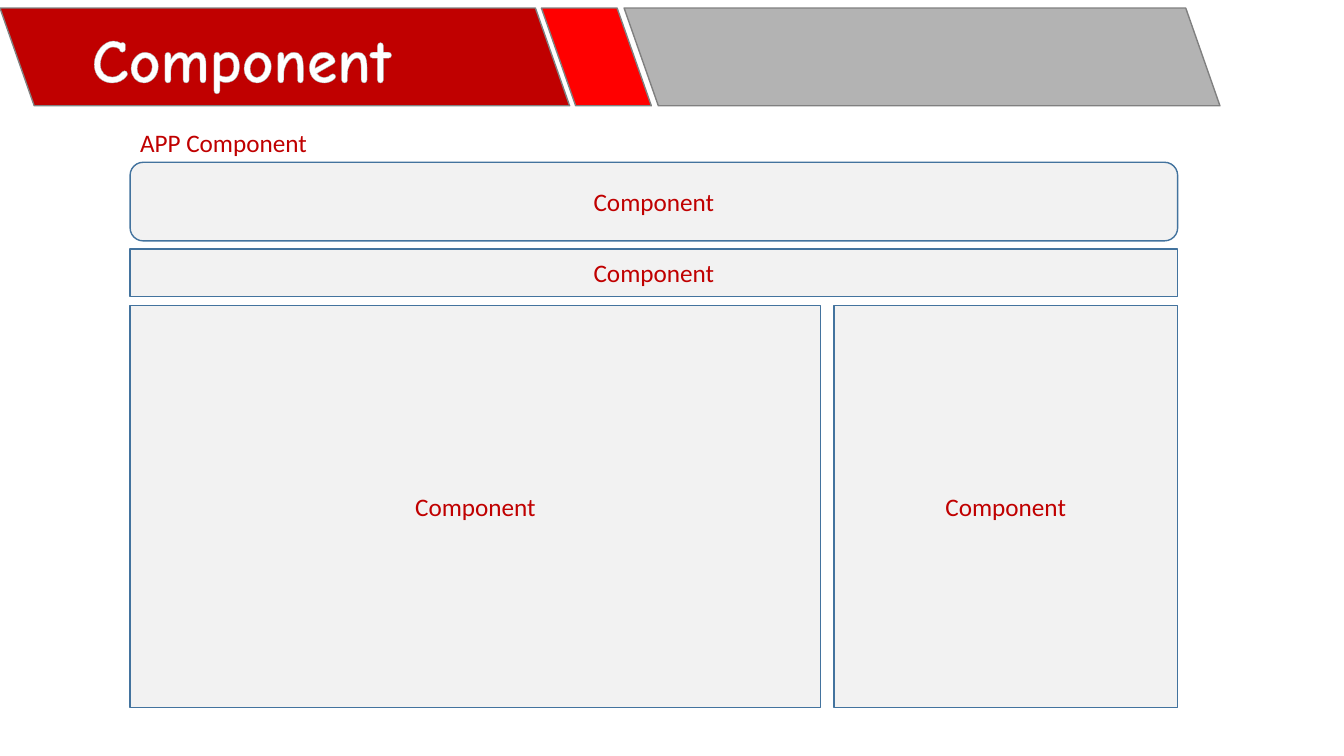
from dataclasses import dataclass

from lxml.etree import SubElement
from pptx import Presentation
from pptx.dml.color import RGBColor
from pptx.enum.shapes import MSO_SHAPE as Shape
from pptx.enum.text import MSO_ANCHOR as Anchor, MSO_AUTO_SIZE as AutoSize, PP_ALIGN as Align
from pptx.oxml import parse_xml
from pptx.oxml.ns import nsdecls, qn
from pptx.util import Inches, Pt


@dataclass(frozen=True)
class Theme:
    dark_red: str = "C00000"
    red: str = "FF0000"
    banner_gray: str = "B3B3B3"
    banner_line: str = "808080"
    panel: str = "F2F2F2"
    panel_line: str = "43739E"
    white: str = "FFFFFF"
    title_outline: str = "A6A6A6"
    title_font: str = "Comic Neue"
    body_font: str = "Calibri"
    title_size: int = 44
    body_size: int = 18


THEME = Theme()


def add_span(para, text, font, size, color, outline, outline_width, bold=None):
    span = para.add_run()
    span.text = text
    span.font.name = font
    span.font.size = Pt(size)
    span.font.bold = bold
    span.font.color.rgb = RGBColor.from_string(color)
    # The glyph outline has to come first among the run properties
    line = parse_xml(f'<a:ln {nsdecls("a")} w="{Pt(outline_width)}"/>')
    fill = SubElement(line, qn("a:solidFill"))
    SubElement(fill, qn("a:srgbClr"), val=outline)
    span.font._element.insert(0, line)


def add_body_span(para, text):
    add_span(para, text, THEME.body_font, THEME.body_size,
             THEME.dark_red, THEME.dark_red, 0.75)


def add_filled_shape(page, kind, bounds, fill, line):
    shape = page.shapes.add_shape(kind, *map(Inches, bounds))
    shape.shadow.inherit = False
    shape.fill.solid()
    shape.fill.fore_color.rgb = RGBColor.from_string(fill)
    shape.line.color.rgb = RGBColor.from_string(line)
    shape.line.width = Pt(1)
    return shape


def add_banner_piece(page, left, width, fill):
    piece = add_filled_shape(page, Shape.PARALLELOGRAM, (left, 0.08, width, 0.97),
                             fill, THEME.banner_line)
    piece.adjustments[0] = 0.35
    piece._element.spPr.find(qn("a:xfrm")).set("flipH", "1")


def add_panel(page, kind, bounds):
    panel = add_filled_shape(page, kind, bounds, THEME.panel, THEME.panel_line)
    panel.text_frame.vertical_anchor = Anchor.MIDDLE
    para = panel.text_frame.paragraphs[0]
    para.alignment = Align.CENTER
    add_body_span(para, "Component")


def add_text_box(page, bounds, wrap):
    box = page.shapes.add_textbox(*map(Inches, bounds))
    box.text_frame.word_wrap = wrap
    box.text_frame.auto_size = AutoSize.SHAPE_TO_FIT_TEXT
    return box.text_frame.paragraphs[0]


def main():
    deck = Presentation()
    deck.slide_width, deck.slide_height = Inches(13.33), Inches(7.5)
    page = deck.slides.add_slide(deck.slide_layouts[6])

    # Banner
    for left, width, fill in (
        (0, 5.65, THEME.dark_red),
        (5.37, 1.09, THEME.red),
        (6.19, 5.91, THEME.banner_gray),
    ):
        add_banner_piece(page, left, width, fill)
    title = add_text_box(page, (0.79, 0.16, 3.21, 0.84), True)
    title.alignment = Align.CENTER
    add_span(title, "Component", THEME.title_font, THEME.title_size,
             THEME.white, THEME.title_outline, 0.8, bold=True)

    # Component layout: header, navigation, sidebar and content
    left, width = 1.29, 10.39
    for kind, bounds in (
        (Shape.ROUNDED_RECTANGLE, (left, 1.61, width, 0.78)),
        (Shape.RECTANGLE, (left, 2.47, width, 0.47)),
        (Shape.RECTANGLE, (8.27, 3.03, 3.41, 3.99)),
        (Shape.RECTANGLE, (left, 3.03, 6.85, 3.99)),
    ):
        add_panel(page, kind, bounds)

    # Label of the enclosing component
    label = add_text_box(page, (left, 1.21, 1.95, 0.4), False)
    add_body_span(label, "APP Component")

    deck.save("out.pptx")


if __name__ == "__main__":
    main()
